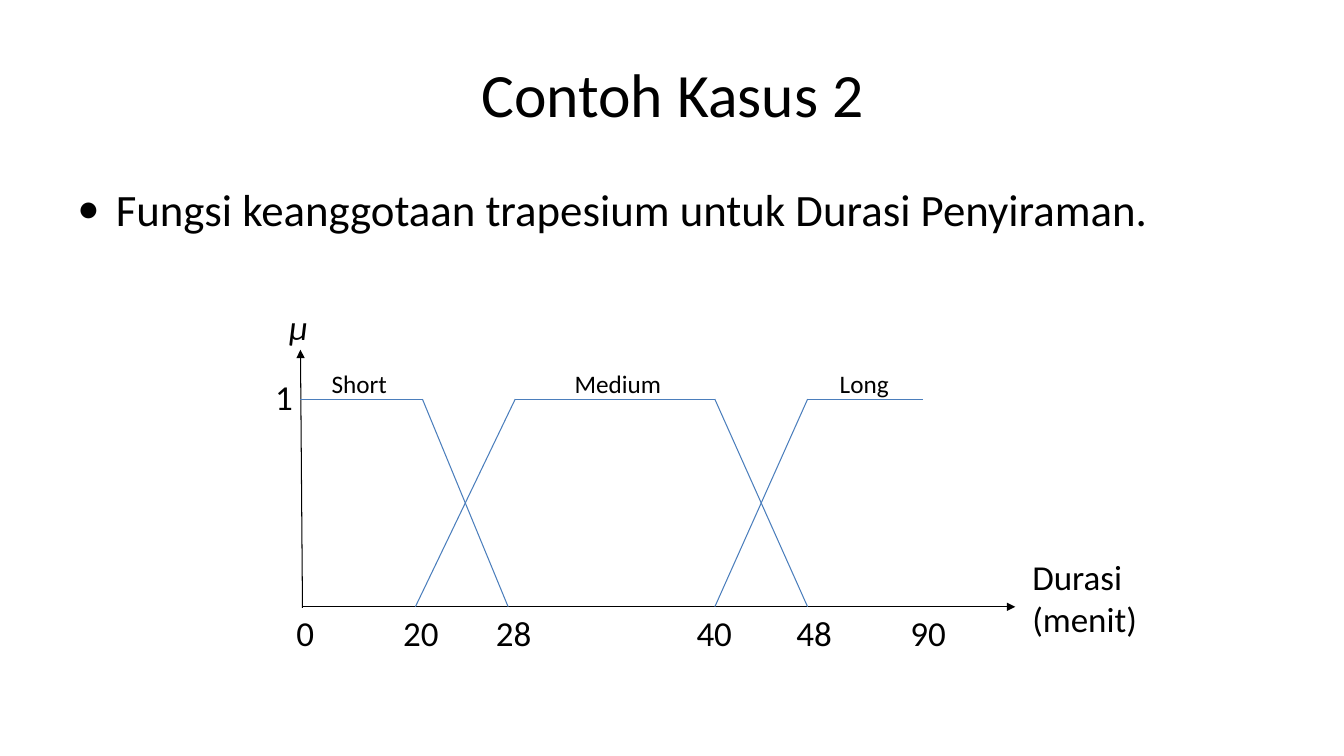
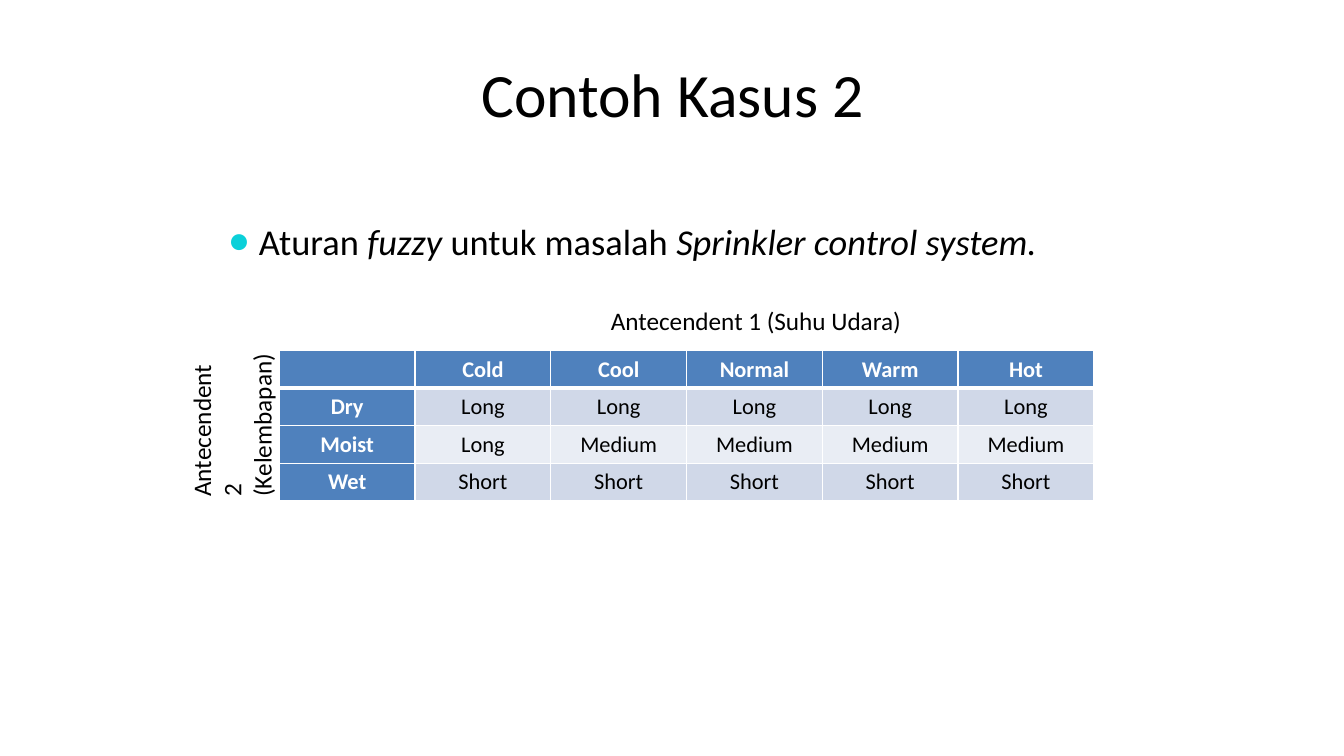
import pptx
import pptx.util
import pptx.dml.color
import pptx.enum.shapes
import pptx.enum.text
import pptx.oxml.ns
from lxml import etree

PX = 9144  # EMU per px, 100 px to the inch
THEME = {
    "font": "Calibri",
    "text": "000000", "curve": "4B7EBC", "bullet": "0BD0D9",
    "head": "4F81BD", "bands": ("D0D8E8", "E9EDF4"), "white": "FFFFFF",
    "title": 44, "body": 32, "rule": 26, "axis": 25, "label": 18, "cell": 16,
    "line": 0.75, "border": 1, "head_border": 3,
}
ALIGN = pptx.enum.text.PP_ALIGN
ANCHOR = pptx.enum.text.MSO_ANCHOR

# Content
TITLE = "Contoh Kasus 2"
BODY = "Fungsi keanggotaan trapesium untuk Durasi Penyiraman."
LOW, HIGH = 602, 396
CURVES = [
    [(298, HIGH), (419, HIGH), (504, LOW)],
    [(412, LOW), (511, HIGH), (709, HIGH), (801, LOW)],
    [(709, LOW), (801, HIGH), (915, HIGH)],
]
AXES = [((300, 603), (298, 347)), ((301, LOW), (1007, LOW))]
SET_LABELS = [("Short", 319, 78), ("Medium", 560, 106), ("Long", 823, 78)]
TICKS = [("0", 284), ("20", 390), ("28", 482), ("40", 681), ("48", 780), ("90", 893)]
AXIS_LABELS = [
    ("1", (263, 368, 50, 51), False),
    ("µ", (277, 298, 50, 51), True),
    ("Durasi (menit)", (1014, 546, 142, 93), False),
]
RULE = [("Aturan ", False), ("fuzzy ", True), ("untuk masalah ", False),
        ("Sprinkler control system.", True)]
RULES_TABLE = [
    ["", "Cold", "Cool", "Normal", "Warm", "Hot"],
    ["Dry"] + ["Long"] * 5,
    ["Moist", "Long"] + ["Medium"] * 4,
    ["Wet"] + ["Short"] * 5,
]
TABLE_AT = (277, 348, 808, 147)
COLUMN_HEAD = "Antecendent 1 (Suhu Udara)"
ROW_HEAD = ["Antecendent 2", "(Kelembapan)"]


def px(*values):
    return [pptx.util.Emu(round(v * PX)) for v in values]


def rgb(value):
    return pptx.dml.color.RGBColor.from_string(value)


def add(parent, tag, **attrs):
    return etree.SubElement(parent, pptx.oxml.ns.qn(tag), **attrs)


def write(p, text, size, color=THEME["text"], bold=False, italic=False, align=None):
    """Fill a paragraph with a string or with (text, italic) pairs."""
    if align is not None:
        p.alignment = align
    if not text:
        add(p._p, "a:endParaRPr", sz=str(size * 100))
        return
    for part, slanted in [(text, italic)] if isinstance(text, str) else text:
        r = p.add_run()
        r.text = part
        f = r.font
        f.name, f.size, f.bold, f.italic = THEME["font"], pptx.util.Pt(size), bold, slanted
        f.color.rgb = rgb(color)


def text_box(s, at, paragraphs, size, anchor=ANCHOR.TOP, grow=True, rotation=0, **fmt):
    sp = s.shapes.add_textbox(*px(*at))
    sp.rotation = rotation
    tf = sp.text_frame
    tf.word_wrap = True
    tf.vertical_anchor = anchor
    sizing = pptx.enum.text.MSO_AUTO_SIZE
    tf.auto_size = sizing.SHAPE_TO_FIT_TEXT if grow else sizing.NONE
    for i, text in enumerate(paragraphs):
        write(tf.add_paragraph() if i else tf.paragraphs[0], text, size, **fmt)
    return sp


def bullet(p, char, indent, color=None, percent=100):
    pPr = p._p.get_or_add_pPr()
    pPr.set("marL", str(indent * PX))
    pPr.set("indent", str(-indent * PX))
    if color:
        add(add(pPr, "a:buClr"), "a:srgbClr", val=color)
    add(pPr, "a:buSzPct", val=str(percent * 1000))
    add(pPr, "a:buFont", typeface=THEME["font"])
    add(pPr, "a:buChar", char=char)


def line(s, start, end, color, arrow=False):
    kind = pptx.enum.shapes.MSO_CONNECTOR.STRAIGHT
    c = s.shapes.add_connector(kind, *px(*start, *end))
    c.line.color.rgb = rgb(color)
    c.line.width = pptx.util.Pt(THEME["line"])
    if arrow:
        add(c.line._get_or_add_ln(), "a:tailEnd", type="triangle")
    add(c._element.spPr, "a:effectLst")


def borders(cell, **widths):
    tcPr = cell._tc.get_or_add_tcPr()
    for i, side in enumerate("LRTB"):
        width = widths.get(side, THEME["border"])
        ln = etree.Element(pptx.oxml.ns.qn("a:ln" + side), w=str(pptx.util.Pt(width)))
        add(add(ln, "a:solidFill"), "a:srgbClr", val=THEME["white"])
        tcPr.insert(i, ln)


def new_slide(prs):
    s = prs.slides.add_slide(prs.slide_layouts[6])
    text_box(s, (67, 30, 1200, 125), [TITLE], THEME["title"],
             anchor=ANCHOR.MIDDLE, grow=False, align=ALIGN.CENTER)
    return s


def membership_slide(prs):
    s = new_slide(prs)
    sp = text_box(s, (67, 175, 1200, 495), [BODY], THEME["body"], grow=False)
    bullet(sp.text_frame.paragraphs[0], "•", 38)
    # Axes and curves
    for start, end in AXES:
        line(s, start, end, THEME["text"], arrow=True)
    for points in CURVES:
        for start, end in zip(points, points[1:]):
            line(s, start, end, THEME["curve"])
    # Labels
    for text, left, width in SET_LABELS:
        text_box(s, (left, 361, width, 40), [text], THEME["label"])
    for text, left in TICKS:
        text_box(s, (left, LOW, 71, 51), [text], THEME["axis"])
    for text, at, italic in AXIS_LABELS:
        text_box(s, at, [text], THEME["axis"], italic=italic)


def rules_slide(prs):
    s = new_slide(prs)
    # Rule table
    n_rows, n_cols = len(RULES_TABLE), len(RULES_TABLE[0])
    table = s.shapes.add_table(n_rows, n_cols, *px(*TABLE_AT)).table
    table.first_row = table.horz_banding = False
    for col in table.columns:
        col.width, = px(TABLE_AT[2] / n_cols)
    for i, row in enumerate(RULES_TABLE):
        table.rows[i].height, = px(TABLE_AT[3] / n_rows)
        for j, text in enumerate(row):
            cell = table.cell(i, j)
            head = i == 0 or j == 0
            cell.fill.solid()
            cell.fill.fore_color.rgb = rgb(THEME["head"] if head else THEME["bands"][(i - 1) % 2])
            thick = {0: "B", 1: "T"}.get(i)
            borders(cell, **({thick: THEME["head_border"]} if thick else {}))
            write(cell.text_frame.paragraphs[0], text, THEME["cell"], bold=head,
                  color=THEME["white" if head else "text"], align=ALIGN.CENTER)
    # Table headings and rule statement
    text_box(s, (596, 298, 347, 40), [COLUMN_HEAD], THEME["label"])
    text_box(s, (148, 371, 163, 100), ROW_HEAD, THEME["label"], rotation=270)
    sp = text_box(s, (217, 212, 900, 480), [RULE], THEME["rule"], grow=False)
    bullet(sp.text_frame.paragraphs[0], "●", 30, THEME["bullet"], 95)


def main():
    prs = pptx.Presentation()
    prs.slide_width, prs.slide_height = px(1333, 750)
    membership_slide(prs)
    rules_slide(prs)
    prs.save("out.pptx")


if __name__ == "__main__":
    main()
